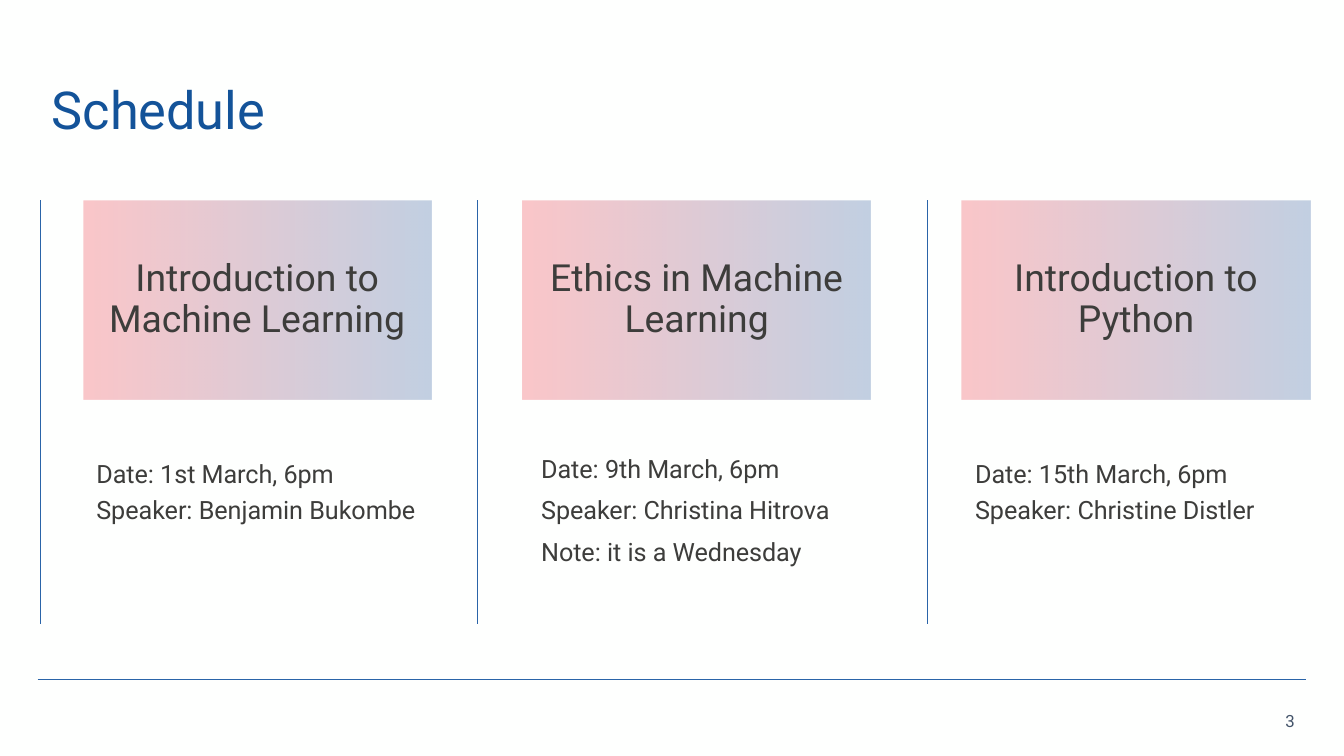
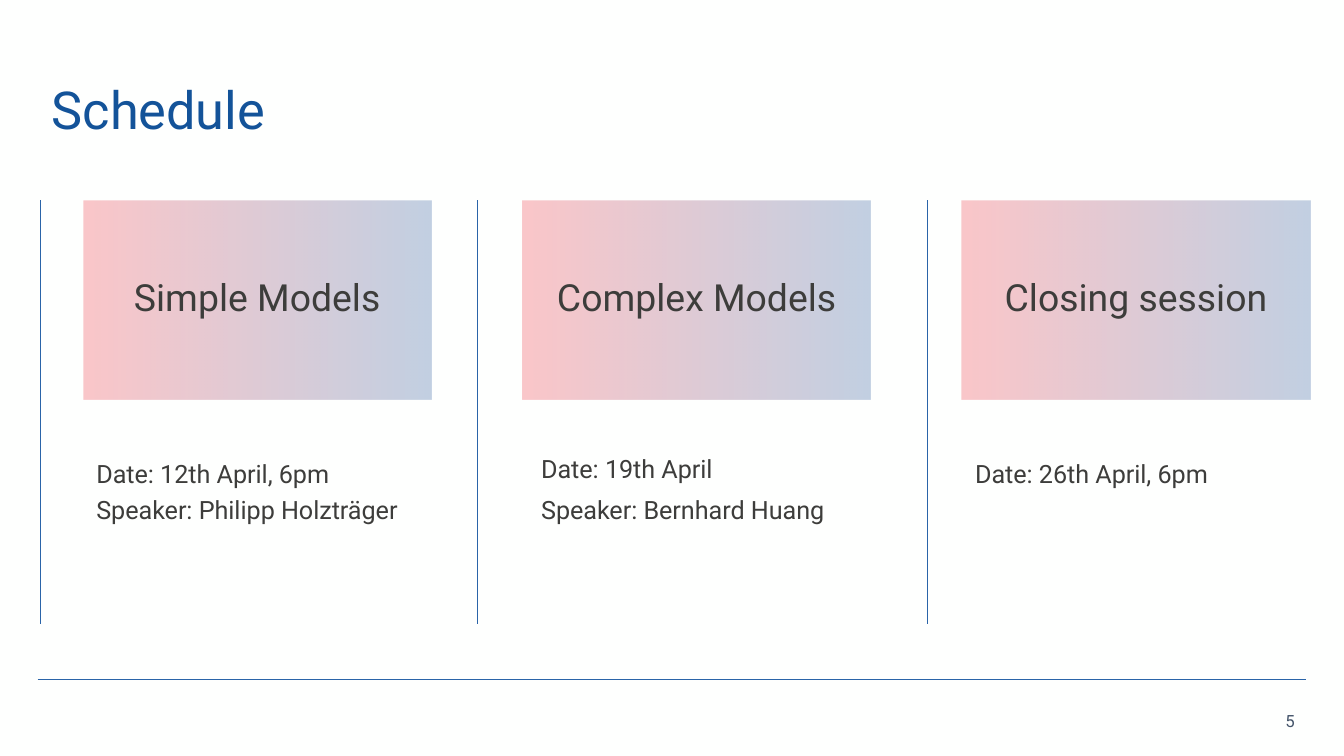
import pptx
import pptx.dml.color
import pptx.enum.shapes
import pptx.enum.text
import pptx.oxml.ns
import pptx.oxml.xmlchemy
import pptx.util

Pt = pptx.util.Pt
RGBColor = pptx.dml.color.RGBColor
OxmlElement = pptx.oxml.xmlchemy.OxmlElement
ALIGN = pptx.enum.text.PP_ALIGN
ANCHOR = pptx.enum.text.MSO_ANCHOR
SHAPES = pptx.enum.shapes.MSO_SHAPE
CONNECTORS = pptx.enum.shapes.MSO_CONNECTOR

TITLE = "Schedule"
SCHEDULES = [
    ("3", [
        ("Introduction to Machine Learning",
         ["Date: 1st March, 6pm", "Speaker: Benjamin Bukombe"]),
        ("Ethics in Machine Learning",
         ["Date: 9th March, 6pm", "Speaker: Christina Hitrova", "Note: it is a Wednesday"]),
        ("Introduction to Python",
         ["Date: 15th March, 6pm", "Speaker: Christine Distler"]),
    ]),
    ("5", [
        ("Simple Models",
         ["Date: 12th April, 6pm", "Speaker: Philipp Holzträger"]),
        ("Complex Models",
         ["Date: 19th April", "Speaker: Bernhard Huang"]),
        ("Closing session",
         ["Date: 26th April, 6pm"]),
    ]),
]

FONT = "Roboto"
BACKGROUND = RGBColor(0xFE, 0xFF, 0xFE)
RULE_BLUE = RGBColor(0x2A, 0x64, 0xA8)
TITLE_BLUE = RGBColor(0x13, 0x53, 0x99)
NUMBER_GRAY = RGBColor(0x44, 0x54, 0x6A)
TEXT_GRAY = RGBColor(0x3D, 0x3D, 0x3B)
GRADIENT = [(0, RGBColor(0x38, 0x63, 0xA2)), (0.98, RGBColor(0xF0, 0x44, 0x51))]
OPACITY = 30

COLUMN_TOP, COLUMN_BOTTOM = 107.3, 334.1
CARD_LEFT, CARD_STEP, CARD_WIDTH, CARD_HEIGHT = 44.6, 235.4, 186.5, 106.6
DIVIDERS = [21.6, 255.6, 496.8]
DETAILS = [
    dict(box=(45.4, 241.9, 183.6, 92.2), space_before=3.2),
    dict(box=(283.7, 241.2, 180.7, 92.9), space_before=7.5, line_spacing=0.9),
    dict(box=(516.2, 241.9, 185, 92.2), space_before=3.2),
]


def write_text(shape, lines, size, color, align=ALIGN.LEFT, anchor=ANCHOR.MIDDLE,
               line_spacing=1.0, space_before=0):
    frame = shape.text_frame
    frame.word_wrap = True
    frame.vertical_anchor = anchor
    frame.margin_left = frame.margin_right = Pt(6.2)
    frame.margin_top = frame.margin_bottom = Pt(3.6)
    for index, line in enumerate(lines):
        paragraph = frame.add_paragraph() if index else frame.paragraphs[0]
        paragraph.text = line
        paragraph.alignment = align
        paragraph.line_spacing = line_spacing
        if index:
            paragraph.space_before = Pt(space_before)
        paragraph.font.name = FONT
        paragraph.font.size = Pt(size)
        paragraph.font.color.rgb = color


def add_text(slide, box, lines, size, color, **text_format):
    write_text(slide.shapes.add_textbox(*map(Pt, box)), lines, size, color, **text_format)


def add_rule(slide, *ends):
    rule = slide.shapes.add_connector(CONNECTORS.STRAIGHT, *map(Pt, ends))
    rule.line.color.rgb = RULE_BLUE
    rule.line.width = Pt(0.5)
    rule._element.spPr.append(OxmlElement("a:effectLst"))


def add_card(slide, left, heading):
    card = slide.shapes.add_shape(
        SHAPES.RECTANGLE, *map(Pt, (left, COLUMN_TOP, CARD_WIDTH, CARD_HEIGHT)))
    card.shadow.inherit = False
    card.line.fill.background()
    card.fill.gradient()
    card.fill.gradient_angle = 180
    for stop, (position, color) in zip(card.fill.gradient_stops, GRADIENT):
        stop.position = position
        stop.color.rgb = color
    for color_element in card._element.spPr.iter(pptx.oxml.ns.qn("a:srgbClr")):
        alpha = OxmlElement("a:alpha")
        alpha.set("val", str(OPACITY * 1000))
        color_element.append(alpha)
    write_text(card, [heading], 20, TEXT_GRAY, align=ALIGN.CENTER, line_spacing=0.9)


def add_frame(presentation, number):
    slide = presentation.slides.add_slide(presentation.slide_layouts[6])
    slide.background.fill.solid()
    slide.background.fill.fore_color.rgb = BACKGROUND
    add_rule(slide, 20.2, 364.3, 699.8, 364.3)
    for divider in DIVIDERS:
        add_rule(slide, divider, COLUMN_BOTTOM, divider, COLUMN_TOP)
    add_text(slide, (659.5, 375.1, 40.3, 21.6), [number], 9, NUMBER_GRAY, align=ALIGN.RIGHT)
    add_text(slide, (21.6, 20.9, 679, 78.5), [TITLE], 28, TITLE_BLUE, line_spacing=0.9)
    return slide


def main():
    presentation = pptx.Presentation()
    presentation.slide_width, presentation.slide_height = Pt(720), Pt(405)
    for number, sessions in SCHEDULES:
        slide = add_frame(presentation, number)
        for column, (heading, lines) in enumerate(sessions):
            add_card(slide, CARD_LEFT + column * CARD_STEP, heading)
            add_text(slide, lines=lines, size=13.5, color=TEXT_GRAY,
                     anchor=ANCHOR.TOP, **DETAILS[column])
    presentation.save("out.pptx")


if __name__ == "__main__":
    main()
